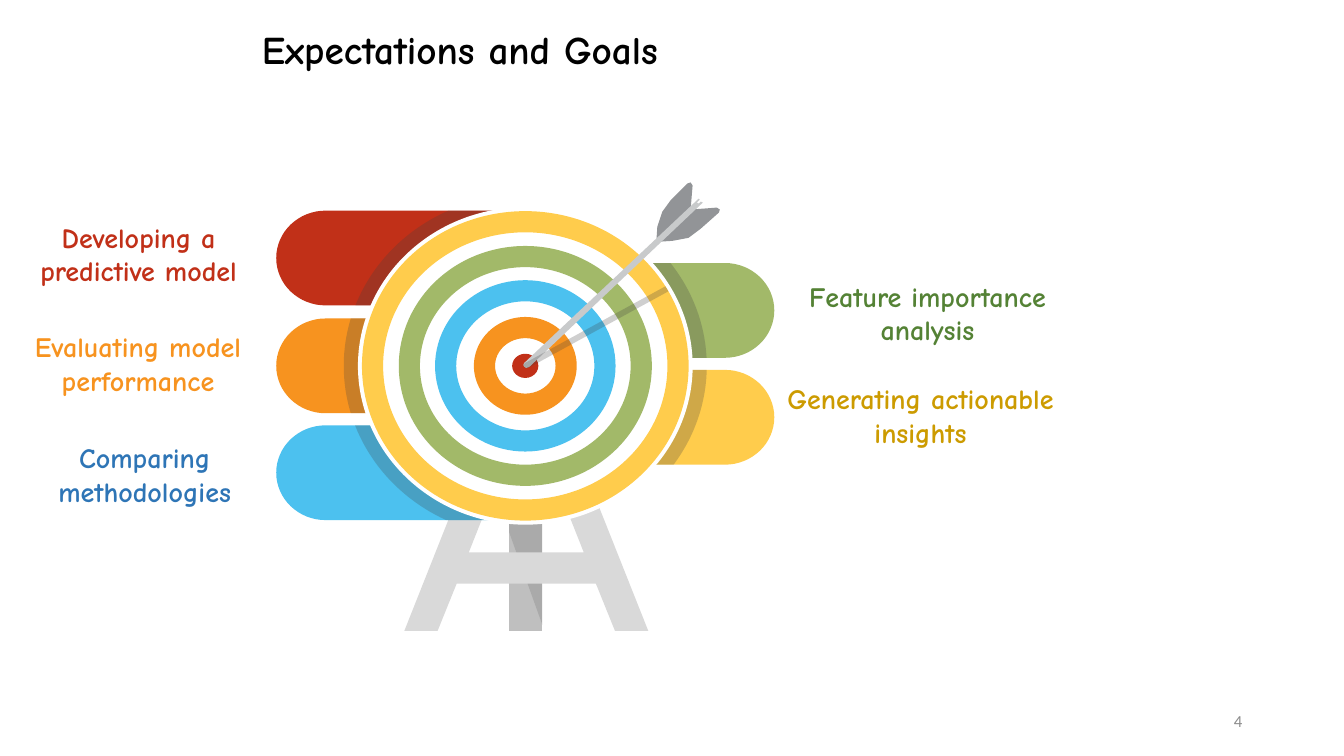
"""Build the Expectations and Goals slide: a target with five labelled tabs."""
from dataclasses import dataclass
from math import cos, pi, sin, sqrt

from lxml.etree import SubElement
from pptx import Presentation
from pptx.dml.color import RGBColor
from pptx.enum.shapes import MSO_SHAPE
from pptx.enum.text import MSO_ANCHOR, MSO_AUTO_SIZE, PP_ALIGN
from pptx.oxml.ns import qn
from pptx.shapes.autoshape import Shape
from pptx.slide import Slide
from pptx.util import Inches, Pt

Point = tuple[float, float]

COLORS = {
    "red": "C13018", "blue": "4CC1EF", "orange": "F7931F", "green": "A2B969",
    "yellow": "FFCC4C", "white": "FFFFFF", "black": "000000", "shade": "404040",
    "post": "BFBFBF", "legs": "D9D9D9", "vane": "929497", "shaft": "C8CACB",
    "number": "8C8C8C", "green text": "548235", "blue text": "2E75B6",
    "yellow text": "CC9B00",
}
CENTER_X, CENTER_Y = 5.21, 3.63
TAB_HEIGHT, TAB_STRAIGHT, CAP_WIDTH = 0.94, 1.98, 0.49
SHADOW_RX, SHADOW_RY = 1.8, 1.7
RING_THICKNESS = 0.21
LEFT, RIGHT = -1, 1
STEPS = 32


@dataclass
class Tab:
    side: int
    top: float
    color: str


@dataclass
class Disc:
    width: float
    height: float
    color: str
    ring: bool = True


@dataclass
class Outline:
    points: list[Point]
    color: str
    opacity: int = 100


@dataclass
class Label:
    text: str
    left: float
    top: float
    width: float
    height: float
    color: str
    size: int = 20
    font: str = "Comic Neue"
    bold: bool = True
    anchor: MSO_ANCHOR = MSO_ANCHOR.TOP
    align: PP_ALIGN = PP_ALIGN.CENTER
    fit: MSO_AUTO_SIZE = MSO_AUTO_SIZE.SHAPE_TO_FIT_TEXT
    side_inset: float = 0.1
    space_before: int = 0
    line_spacing: float = 1.0


TABS = [
    Tab(LEFT, 2.09, "red"), Tab(LEFT, 4.22, "blue"), Tab(LEFT, 3.16, "orange"),
    Tab(RIGHT, 2.61, "green"), Tab(RIGHT, 3.67, "yellow"),
]
DISCS = [
    Disc(3.32, 3.15, "white", ring=False), Disc(1.79, 1.7, "blue"),
    Disc(2.51, 2.38, "green"), Disc(3.24, 3.07, "yellow"),
    Disc(1.02, 0.97, "orange"), Disc(0.26, 0.24, "red", ring=False),
]
STAND = [
    Outline([(5.05, 5), (5.38, 5), (5.38, 6.26), (5.05, 6.26)], "post"),
    Outline([(5.38, 5.12), (5.38, 6.2), (5.05, 5.28), (5.05, 5.12)], "shade", 16),
    Outline([(6.1, 6.26), (6.43, 6.26), (5.93, 5), (5.6, 5), (5.79, 5.48),
             (4.65, 5.48), (4.84, 5), (4.51, 5), (4.01, 6.26), (4.34, 6.26),
             (4.53, 5.79), (5.91, 5.79)], "legs"),
]
ARROW = [
    Outline([(6.52, 2.25), (6.51, 2.4), (6.85, 2.08), (6.87, 1.84), (6.85, 1.81),
             (6.82, 1.82), (6.65, 1.99), (6.57, 2.1)], "vane"),
    Outline([(6.67, 2.39), (6.51, 2.4), (6.85, 2.08), (7.11, 2.06), (7.14, 2.08),
             (7.13, 2.11), (6.95, 2.27), (6.83, 2.36)], "vane"),
    Outline([(6.94, 1.98), (6.91, 2.01), (6.93, 2.02), (6.95, 2), (6.97, 2.01),
             (5.25, 3.64), (5.22, 3.65), (5.2, 3.64), (5.19, 3.62), (5.2, 3.6),
             (6.93, 1.97)], "shaft"),
    Outline([(5.21, 3.6), (6.6, 2.84), (6.63, 2.89), (5.24, 3.65), (5.22, 3.65),
             (5.2, 3.64), (5.19, 3.62)], "shade", 25),
]
LABELS = [
    Label("4", 9.42, 6.95, 3, 0.4, "number", 12, "Calibri", False,
          MSO_ANCHOR.MIDDLE, PP_ALIGN.RIGHT, MSO_AUTO_SIZE.NONE),
    Label("Expectations and Goals", 2.09, 0, 4.94, 1.02, "black", 28,
          anchor=MSO_ANCHOR.MIDDLE, fit=MSO_AUTO_SIZE.NONE, line_spacing=0.9),
    Label("Developing a predictive model", 0.02, 2.13, 2.71, 0.77, "red",
          anchor=MSO_ANCHOR.BOTTOM, side_inset=0),
    Label("Feature importance analysis", 7.47, 2.72, 3.46, 0.77, "green text",
          space_before=10),
    Label("Evaluating model performance", 0.09, 3.22, 2.56, 0.77, "orange"),
    Label("Comparing methodologies", 0.16, 4.32, 2.55, 0.77, "blue text"),
    Label("Generating actionable insights", 7.47, 3.74, 3.32, 0.77, "yellow text"),
]


def rgb(color: str) -> RGBColor:
    """Return the named colour."""
    return RGBColor.from_string(COLORS[color])


def apply(target: object, values: dict[str, object]) -> None:
    """Set each format value on the target."""
    for name, value in values.items():
        setattr(target, name, value)


def paint(shape: Shape, color: str, opacity: int = 100) -> None:
    """Give a shape a flat fill without line or shadow."""
    shape.shadow.inherit = False
    shape.line.fill.background()
    shape.fill.solid()
    shape.fill.fore_color.rgb = rgb(color)
    if opacity < 100:
        fill_color = shape.element.spPr.find(f".//{qn('a:srgbClr')}")
        SubElement(fill_color, qn("a:alpha")).set("val", str(opacity * 1000))


def draw_outline(slide: Slide, outline: Outline) -> None:
    """Draw a closed outline."""
    first, *rest = [(Inches(x), Inches(y)) for x, y in outline.points]
    builder = slide.shapes.build_freeform(*first)
    builder.add_line_segments(rest, close=True)
    paint(builder.convert_to_shape(), outline.color, outline.opacity)


def draw_tab(slide: Slide, tab: Tab) -> None:
    """Draw a tab with a rounded outer end and the target's shadow on it."""
    radius = TAB_HEIGHT / 2
    angles = [pi * step / STEPS - pi / 2 for step in range(STEPS + 1)]
    cap = [(TAB_STRAIGHT + CAP_WIDTH * cos(a), tab.top + radius + radius * sin(a))
           for a in angles]
    heights = [tab.top + TAB_HEIGHT * step / STEPS for step in range(STEPS + 1)]
    shadow = [(SHADOW_RX * sqrt(1 - ((y - CENTER_Y) / SHADOW_RY) ** 2), y)
              for y in heights]
    for edge, color, opacity in ((cap, tab.color, 100), (shadow, "shade", 25)):
        reach = [(0, tab.top), *edge, (0, tab.top + TAB_HEIGHT)]
        points = [(CENTER_X + tab.side * x, y) for x, y in reach]
        draw_outline(slide, Outline(points, color, opacity))


def draw_disc(slide: Slide, disc: Disc) -> None:
    """Draw a ring or a full disc around the target's centre."""
    preset = MSO_SHAPE.DONUT if disc.ring else MSO_SHAPE.OVAL
    shape = slide.shapes.add_shape(
        preset, Inches(CENTER_X - disc.width / 2), Inches(CENTER_Y - disc.height / 2),
        Inches(disc.width), Inches(disc.height))
    if disc.ring:
        shape.adjustments[0] = RING_THICKNESS / disc.height
    paint(shape, disc.color)


def draw_label(slide: Slide, label: Label) -> None:
    """Draw a text label."""
    box = slide.shapes.add_textbox(*map(
        Inches, (label.left, label.top, label.width, label.height)))
    frame, paragraph = box.text_frame, box.text_frame.paragraphs[0]
    inset = Inches(label.side_inset)
    apply(frame, {"word_wrap": True, "auto_size": label.fit,
                  "vertical_anchor": label.anchor,
                  "margin_left": inset, "margin_right": inset})
    apply(paragraph, {"alignment": label.align, "line_spacing": label.line_spacing,
                      "space_before": Pt(label.space_before)})
    run = paragraph.add_run()
    run.text = label.text
    apply(run.font, {"name": label.font, "size": Pt(label.size), "bold": label.bold})
    run.font.color.rgb = rgb(label.color)


def main() -> None:
    """Build and save the slide."""
    deck = Presentation()
    apply(deck, {"slide_width": Inches(13.33), "slide_height": Inches(7.5)})
    slide = deck.slides.add_slide(deck.slide_layouts[6])
    for draw, items in ((draw_outline, STAND), (draw_tab, TABS), (draw_disc, DISCS),
                        (draw_outline, ARROW), (draw_label, LABELS)):
        for item in items:
            draw(slide, item)
    deck.save("out.pptx")


if __name__ == "__main__":
    main()
